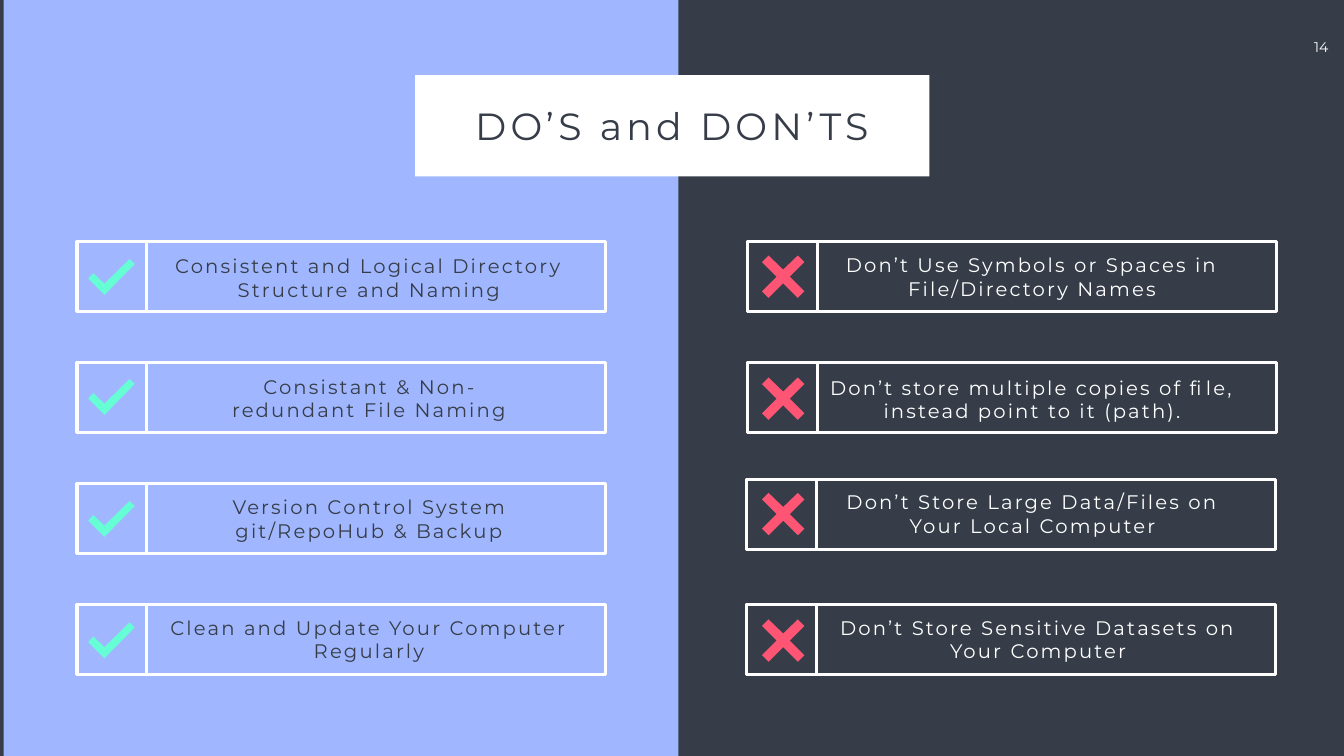
from dataclasses import dataclass

from pptx import Presentation
from pptx.dml.color import RGBColor
from pptx.enum.shapes import MSO_SHAPE
from pptx.enum.text import MSO_ANCHOR, MSO_AUTO_SIZE, PP_ALIGN
from pptx.util import Inches, Pt


@dataclass(frozen=True)
class Theme:
    font: str = "Montserrat"
    slate: RGBColor = RGBColor(0x36, 0x3D, 0x48)
    periwinkle: RGBColor = RGBColor(0xA0, 0xB7, 0xFF)
    white: RGBColor = RGBColor(0xFF, 0xFF, 0xFF)
    mint: RGBColor = RGBColor(0x66, 0xFF, 0xD5)
    coral: RGBColor = RGBColor(0xFF, 0x55, 0x75)
    title_size: int = 54
    advice_size: int = 28
    number_size: int = 20
    frame_width: int = 4


def write(box, text, size, color, spacing=0, inset=0.05, wrap=True):
    frame = box.text_frame
    frame.text = text
    frame.word_wrap = wrap
    frame.auto_size = MSO_AUTO_SIZE.SHAPE_TO_FIT_TEXT
    frame.vertical_anchor = MSO_ANCHOR.TOP
    frame.margin_left = frame.margin_right = Inches(inset)
    frame.margin_top = frame.margin_bottom = Inches(inset)
    for paragraph in frame.paragraphs:
        paragraph.alignment = PP_ALIGN.CENTER
        for run in paragraph.runs:
            run.font.name = theme.font
            run.font.size = Pt(size)
            run.font.color.rgb = color
            if spacing:
                run.font._element.set("spc", str(round(spacing * 100)))


def paint(shape, fill=None, outline=None):
    shape.shadow.inherit = False
    if fill is None:
        shape.fill.background()
    else:
        shape.fill.solid()
        shape.fill.fore_color.rgb = fill
    if outline is None:
        shape.line.fill.background()
    else:
        shape.line.color.rgb = outline
        shape.line.width = Pt(theme.frame_width)


theme = Theme()
presentation = Presentation()
presentation.slide_width = Inches(26.65)
presentation.slide_height = Inches(15)
slide = presentation.slides.add_slide(presentation.slide_layouts[5])
slide.background.fill.solid()
slide.background.fill.fore_color.rgb = theme.slate
shapes = slide.shapes

dos_panel = shapes.add_shape(MSO_SHAPE.RECTANGLE, Inches(0.07), 0, Inches(13.38), Inches(15))
paint(dos_panel, theme.periwinkle)

page_number = shapes.add_textbox(Inches(25.95), Inches(0.67), Inches(0.5), Inches(0.53))
write(page_number, "14", theme.number_size, theme.white, inset=0.1, wrap=False)

banner = shapes.add_shape(
    MSO_SHAPE.RECTANGLE, Inches(8.23), Inches(1.49), Inches(10.2), Inches(2.01)
)
paint(banner, theme.white)

title = shapes.title
title.left, title.top = Inches(8.97), Inches(1.98)
title.width, title.height = Inches(8.71), Inches(1.02)
write(title, "DO’S and DON’TS", theme.title_size, theme.slate, spacing=6)
banner._element.addnext(title._element)

check = [(0.82, 0), (0.32, 0.49), (0.1, 0.28), (0, 0.39), (0.32, 0.71), (0.92, 0.1)]
cross = [
    (0.13, 0), (0, 0.13), (0.29, 0.42), (0, 0.71), (0.13, 0.84), (0.42, 0.55),
    (0.71, 0.84), (0.84, 0.71), (0.55, 0.42), (0.84, 0.13), (0.71, 0), (0.42, 0.28),
]

dos = [
    (1.52, 4.79, 3.15, 4.99, 5.14, "Consistent and Logical Directory Structure and Naming"),
    (1.52, 7.19, 3.15, 7.38, 7.52, "Consistant & Non-\nredundant File Naming"),
    (1.52, 9.59, 3.15, 9.77, 9.94, "Version Control System\ngit/RepoHub & Backup"),
    (1.52, 11.99, 3.15, 12.17, 12.35, "Clean and Update Your Computer Regularly"),
]
donts = [
    (14.82, 4.79, 16.3, 4.97, 5.07, "Don’t Use Symbols or Spaces in File/Directory Names"),
    (14.82, 7.19, 16.3, 7.4, 7.49,
     "Don’t store multiple copies of file, instead point to it (path)."),
    (14.8, 9.51, 16.31, 9.68, 9.78, "Don’t Store Large Data/Files on Your Local Computer"),
    (14.8, 11.99, 16.42, 12.17, 12.29, "Don’t Store Sensitive Datasets on Your Computer"),
]
columns = [
    (dos, check, 1.75, theme.mint, theme.slate),
    (donts, cross, 15.11, theme.coral, theme.white),
]

for rows, outline, mark_left, mark_color, text_color in columns:
    for left, top, text_left, text_top, mark_top, advice in rows:
        card = shapes.add_group_shape()
        for offset, width in [(0.01, 10.48), (0, 1.39)]:
            border = card.shapes.add_shape(
                MSO_SHAPE.RECTANGLE, Inches(left + offset), Inches(top), Inches(width), Inches(1.39)
            )
            paint(border, outline=theme.white)

        points = [(Inches(mark_left + x), Inches(mark_top + y)) for x, y in outline]
        builder = shapes.build_freeform(*points[0])
        builder.add_line_segments(points[1:], close=True)
        paint(builder.convert_to_shape(), mark_color)

        label = shapes.add_textbox(
            Inches(text_left), Inches(text_top), Inches(8.33), Inches(1.04)
        )
        write(label, advice, theme.advice_size, text_color, spacing=3.1)

presentation.save("out.pptx")
